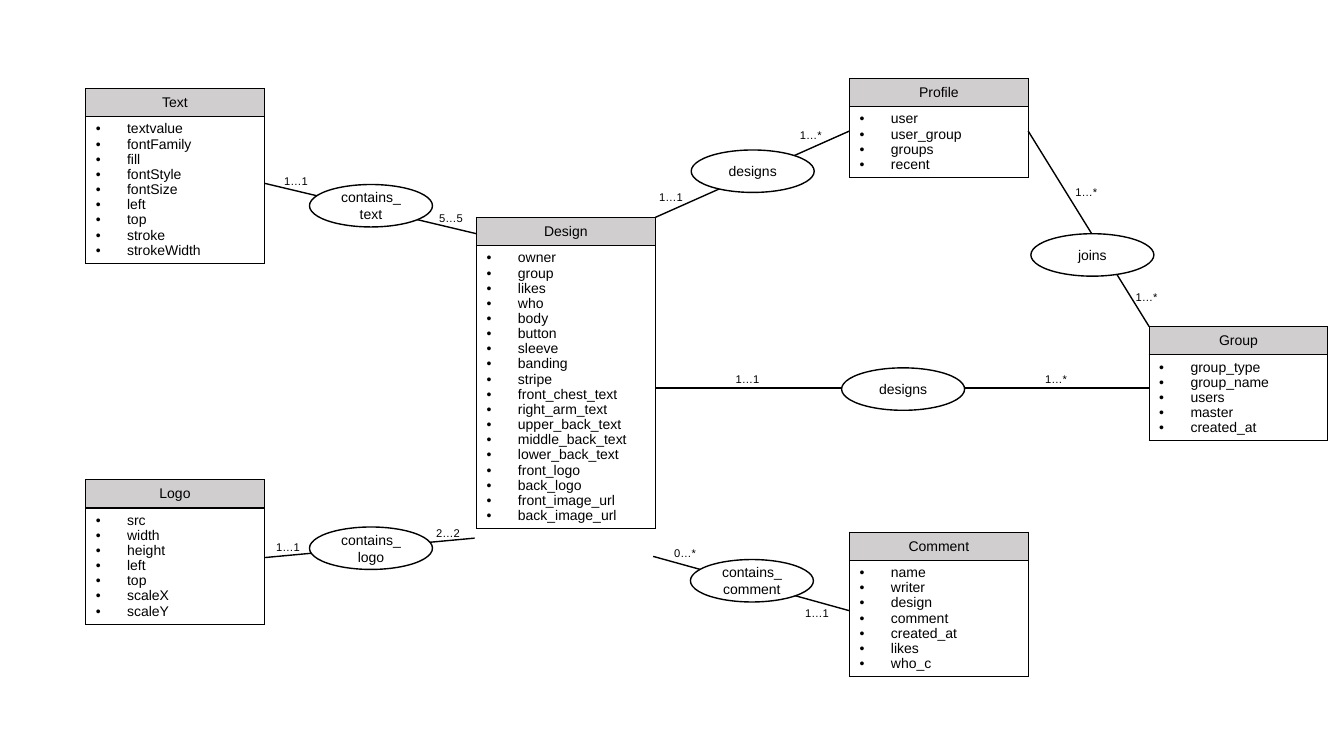
from lxml.etree import SubElement
from pptx import Presentation
from pptx.dml.color import RGBColor
from pptx.enum.shapes import MSO_CONNECTOR as Connector, MSO_SHAPE as Preset
from pptx.enum.text import MSO_ANCHOR as Anchor, MSO_AUTO_SIZE as AutoSize, PP_ALIGN as Align
from pptx.oxml.ns import qn
from pptx.util import Cm, Pt

BLACK = RGBColor(0x00, 0x00, 0x00)
WHITE = RGBColor(0xFF, 0xFF, 0xFF)
GREY = RGBColor(0xD0, 0xCE, 0xCE)

# Sizes in centimetres
ENTITY_WIDTH, HEADER_HEIGHT, BODY_HEIGHT = 4.5, 0.71, 1.04
LINE_HEIGHT, FRAME_PADDING = 0.42, 1.0
OVAL_WIDTH, OVAL_HEIGHT = 3.1, 1.07
LABEL_WIDTH, LABEL_HEIGHT = 1.12, 0.6
INDENT = 0.79

BODY_FONT = {"name": "Arial", "size": Pt(10), "bold": False}
LABEL_FONT = {"name": "Arial", "size": Pt(8), "bold": False}
CENTRED = {"alignment": Align.CENTER}
LISTED = {"line_spacing": 0.97}

# Name, left, top, attributes
ENTITIES = [
    ("Profile", 21.41, 1.98, "user user_group groups recent"),
    ("Group", 28.96, 8.23, "group_type group_name users master created_at"),
    ("Design", 12.01, 5.48,
     "owner group likes who body button sleeve banding stripe front_chest_text "
     "right_arm_text upper_back_text middle_back_text lower_back_text "
     "front_logo back_logo front_image_url back_image_url"),
    ("Comment", 21.41, 13.41, "name writer design comment created_at likes who_c"),
    ("Text", 2.16, 2.23,
     "textvalue fontFamily fill fontStyle fontSize left top stroke strokeWidth"),
    ("Logo", 2.16, 12.09, "src width height left top scaleX scaleY"),
]

# Name, line start, line end, oval corner, cardinalities with their corners
RELATIONS = [
    ("contains_ text", (6.67, 4.62), (12.01, 5.89), (7.8, 4.65),
     [("1…1", 6.91, 4.27), ("5…5", 10.82, 5.21)]),
    ("contains_ logo", (6.67, 14.05), (11.96, 13.56), (7.8, 13.28),
     [("1…1", 6.71, 13.49), ("2…2", 10.74, 13.13)]),
    ("joins", (25.91, 3.3), (28.96, 8.23), (25.98, 5.89),
     [("1…*", 26.85, 4.55), ("1…*", 28.37, 7.19)]),
    ("designs", (16.51, 5.48), (21.41, 3.3), (17.42, 3.78),
     [("1…1", 16.36, 4.67), ("1…*", 19.91, 3.12)]),
    ("contains_ comment", (16.46, 14.02), (21.41, 15.39), (17.4, 14.1),
     [("0…*", 16.74, 13.64), ("1…1", 20.04, 15.16)]),
    ("designs", (16.51, 9.78), (28.96, 9.78), (21.21, 9.27),
     [("1…1", 18.29, 9.27), ("1…*", 26.09, 9.27)]),
]


def apply(target, values):
    for name, value in values.items():
        setattr(target, name, value)


def write(frame, lines, font, layout):
    """Fill a text frame with one paragraph per line."""
    for index, line in enumerate(lines):
        paragraph = frame.paragraphs[0] if index == 0 else frame.add_paragraph()
        apply(paragraph, layout)
        run = paragraph.add_run()
        run.text = line
        apply(run.font, font)
        run.font.color.rgb = BLACK


def add_bullets(frame):
    for paragraph in frame.paragraphs:
        properties = paragraph._p.get_or_add_pPr()
        properties.set("marL", str(Cm(INDENT)))
        properties.set("indent", str(-Cm(INDENT)))
        SubElement(properties, qn("a:buFont"), typeface="Arial")
        SubElement(properties, qn("a:buChar"), char="•")


def add_borders(cell):
    properties = cell._tc.get_or_add_tcPr()
    for side in ("a:lnL", "a:lnR", "a:lnT", "a:lnB"):
        border = SubElement(properties, qn(side), w=str(Pt(1)))
        fill = SubElement(border, qn("a:solidFill"))
        SubElement(fill, qn("a:srgbClr"), val=str(BLACK))


def add_entity(slide, name, left, top, attributes):
    lines = attributes.split()
    shape = slide.shapes.add_table(2, 1, Cm(left), Cm(top), Cm(ENTITY_WIDTH),
                                   Cm(HEADER_HEIGHT + BODY_HEIGHT))
    table = shape.table
    apply(table, {"first_row": False, "horz_banding": False})
    table.rows[0].height = Cm(HEADER_HEIGHT)
    table.rows[1].height = Cm(BODY_HEIGHT)
    shape.height = Cm(FRAME_PADDING + LINE_HEIGHT * len(lines))

    header, body = table.cell(0, 0), table.cell(1, 0)
    for cell in (header, body):
        add_borders(cell)
        cell.vertical_anchor = Anchor.MIDDLE
    header.fill.solid()
    header.fill.fore_color.rgb = GREY
    body.fill.background()
    write(header.text_frame, [name], BODY_FONT, CENTRED)
    write(body.text_frame, lines, BODY_FONT, LISTED)
    add_bullets(body.text_frame)


def style_line(line):
    line.color.rgb = BLACK
    line.width = Pt(1)


def add_link(slide, start, end):
    connector = slide.shapes.add_connector(
        Connector.STRAIGHT, *(Cm(value) for value in start + end))
    style_line(connector.line)
    SubElement(connector._element.spPr, qn("a:effectLst"))


def add_oval(slide, name, left, top):
    oval = slide.shapes.add_shape(Preset.OVAL, Cm(left), Cm(top),
                                  Cm(OVAL_WIDTH), Cm(OVAL_HEIGHT))
    oval.shadow.inherit = False
    oval.fill.solid()
    oval.fill.fore_color.rgb = WHITE
    style_line(oval.line)
    apply(oval.text_frame, {"word_wrap": True, "vertical_anchor": Anchor.MIDDLE})
    write(oval.text_frame, [name], BODY_FONT, CENTRED)


def add_label(slide, text, left, top):
    label = slide.shapes.add_textbox(Cm(left), Cm(top), Cm(LABEL_WIDTH), Cm(LABEL_HEIGHT))
    apply(label.text_frame, {"word_wrap": False, "auto_size": AutoSize.SHAPE_TO_FIT_TEXT})
    write(label.text_frame, [text], LABEL_FONT, {})


def main():
    presentation = Presentation()
    apply(presentation, {"slide_width": Cm(33.87), "slide_height": Cm(19.05)})
    slide = presentation.slides.add_slide(presentation.slide_layouts[6])

    # Entities
    for entity in ENTITIES:
        add_entity(slide, *entity)

    # Relations between them
    for name, start, end, corner, labels in RELATIONS:
        add_link(slide, start, end)
        add_oval(slide, name, *corner)
        for label in labels:
            add_label(slide, *label)

    presentation.save("out.pptx")


main()
